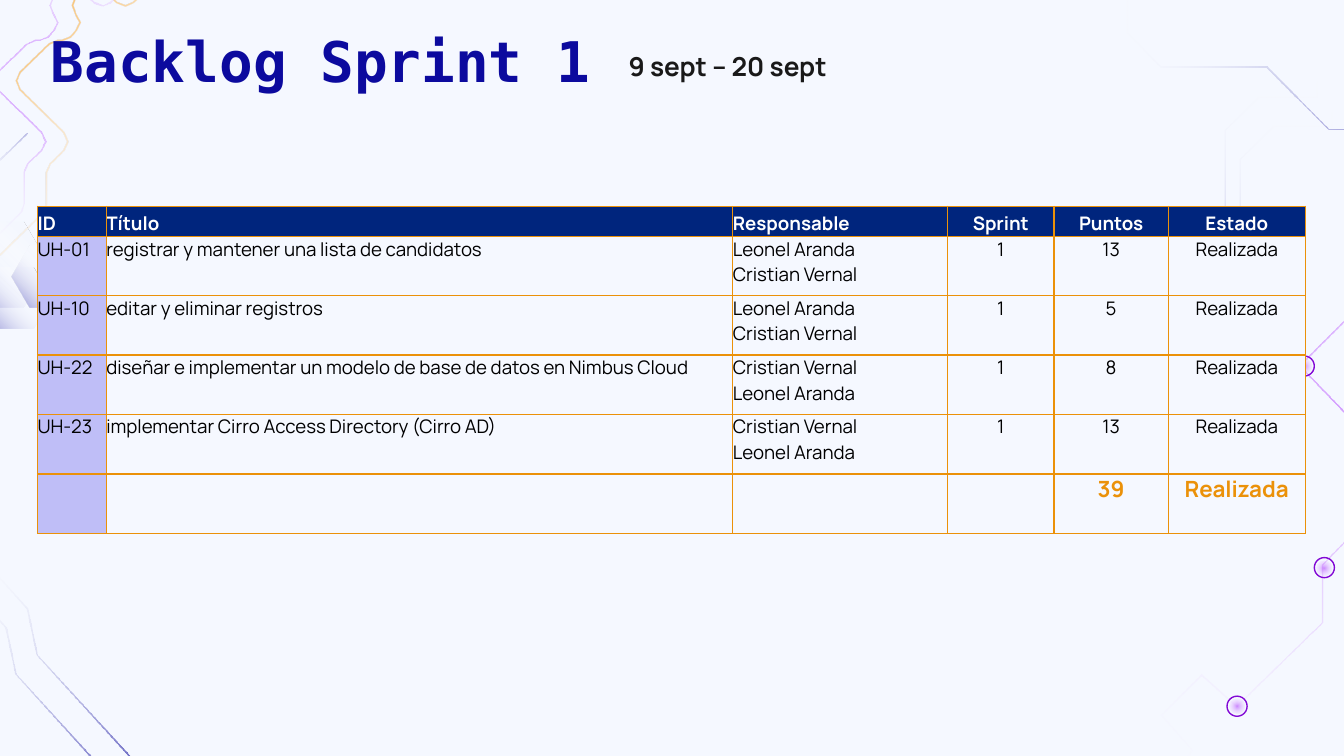
from math import hypot

from pptx import Presentation
from pptx.dml.color import RGBColor
from pptx.enum.shapes import MSO_SHAPE
from pptx.enum.text import MSO_ANCHOR, PP_ALIGN
from pptx.oxml import parse_xml
from pptx.oxml.ns import nsdecls, qn
from pptx.util import Cm, Pt

NAVY, ORANGE, PAPER, LILAC = "0C0A9E", "EB9109", "F5F8FF", "BFBEF7"

# Gradient stops: position, colour, opacity in percent
CLEAR = (100, "FFFFFF", 0)
BLUE_FADE = [(0, NAVY, 100), CLEAR]
VIOLET_FADE = [(0, "9900FF", 45), CLEAR]
ORANGE_FADE = [(0, ORANGE, 100), (40, "FF9900", 40), CLEAR]
HEXAGON_FADE = [(0, PAPER, 100), (22, PAPER, 100), (45, "FFFFFF", 0), (100, NAVY, 49)]

# Circuit traces, in centimetres
RISER = [(21.25, 9.9), (22.26, 8.88), (22.26, 6.2), (23.43, 5.03), (23.43, 3.02),
         (24.06, 2.4), (25.16, 2.4), (25.16, 2.06)]
BRANCH = [(28.82, 3.47), (27.8, 2.43), (25.1, 2.43), (23.93, 1.26), (21.93, 1.26),
          (21.3, 0.62), (21.3, -0.46), (20.96, -0.46)]
NETWORK = [(30.67, 0.76), (29.1, 2.36), (29.92, 3.23), (27.18, 5.99), (26.29, 5.18),
           (24.56, 6.91), (26.59, 9.02), (24.99, 10.67), (24.99, 11.76), (23.37, 13.34),
           (22.71, 12.75), (21.95, 13.51), (22.53, 14.17), (22.28, 14.53), (22.53, 14.86)]
CORNER = [(3.01, 15.87), (2.78, 14.67), (0.7, 12.38), (0.52, 11.51), (-0.39, 10.49)]
WAVE = [(1.46, -1.59), (2.65, -0.4), (2.71, -0.25), (2.65, -0.09), (2.5, 0.05),
        (2.36, 0.11), (2.2, 0.05), (1.93, -0.22), (1.76, -0.3), (1.59, -0.22),
        (1.43, -0.07), (1.37, 0.1), (1.43, 0.27), (1.51, 0.42), (1.44, 0.57),
        (1.33, 0.7), (1.17, 0.76), (1.09, 0.76), (0.93, 0.83), (0.39, 1.36),
        (0.32, 1.52), (0.39, 1.69), (1.21, 2.5), (1.28, 2.67), (1.21, 2.83),
        (0.95, 3.09), (0.88, 3.25), (0.88, 3.85), (0.83, 4.0), (0.01, 4.81)]
STUB = [(0.5, 2.5), (-0.25, 3.24), (-0.25, 1.8), (-0.83, 1.8), (-0.83, 0.48)]

# Points, stops, angle (None for radial), shift
TRACES = [
    (RISER, BLUE_FADE, 270, (0, 0)),
    (RISER, BLUE_FADE, 270, (-0.28, -0.55)),
    (BRANCH, BLUE_FADE, 180, (0, 0)),
    (NETWORK, VIOLET_FADE, None, (0, 0)),
    (CORNER, BLUE_FADE, 228, (0, 0)),
    (CORNER, BLUE_FADE, 228, (-0.4, 0.36)),
    (WAVE, ORANGE_FADE, 45, (0, 0)),
    (WAVE, VIOLET_FADE, None, (-0.43, 0)),
    (STUB, BLUE_FADE, 135, (0, 0)),
]
NODES = [(23.19, 13.16), (24.84, 10.54), (24.46, 6.73)]
HEXAGONS = [(-0.97, 4.19, 1.88, 1.63), (-0.38, 5.05, 1.35, 1.17), (0.23, 4.65, 1.35, 1.17)]

COLUMNS = [1.3, 11.84, 4.06, 2.01, 2.16, 2.59]
ROW_HEIGHTS = [0.57, 1.12, 1.12, 1.12, 1.13, 1.13]
ROWS = [
    ("ID", "Título", "Responsable", "Sprint", "Puntos", "Estado"),
    ("UH-01", "registrar y mantener una lista de candidatos",
     "Leonel Aranda\vCristian Vernal", "1", "13", "Realizada"),
    ("UH-10", "editar y eliminar registros",
     "Leonel Aranda\vCristian Vernal", "1", "5", "Realizada"),
    ("UH-22", "diseñar e implementar un modelo de base de datos en Nimbus Cloud",
     "Cristian Vernal\vLeonel Aranda", "1", "8", "Realizada"),
    ("UH-23", "implementar Cirro Access Directory (Cirro AD)",
     "Cristian Vernal\vLeonel Aranda", "1", "13", "Realizada"),
    ("", "", "", "", "39", "Realizada"),
]


def color(value):
    return RGBColor.from_string(value)


def set_font(para, name, size, tint, bold):
    para.font.name, para.font.size, para.font.bold = name, Pt(size), bold
    para.font.color.rgb = color(tint)


def fade(shape, stops, angle=None):
    """Fill with a gradient that has transparency; radial without an angle."""
    shape.shadow.inherit = False
    shape.line.fill.background()
    shape.fill.background()
    marks = "".join(
        f'<a:gs pos="{place * 1000}"><a:srgbClr val="{tint}">'
        f'<a:alpha val="{opacity * 1000}"/></a:srgbClr></a:gs>'
        for place, tint, opacity in stops)
    if angle is None:
        course = ('<a:path path="circle"><a:fillToRect l="50000" t="50000" '
                  'r="50000" b="50000"/></a:path>')
    else:
        course = f'<a:lin ang="{angle * 60000}" scaled="0"/>'
    plain = shape.element.spPr.find(qn("a:noFill"))
    plain.getparent().replace(plain, parse_xml(
        f'<a:gradFill {nsdecls("a")} rotWithShape="1"><a:gsLst>{marks}</a:gsLst>'
        f'{course}</a:gradFill>'))


def offset(points, distance):
    """Move a polyline sideways, mitring its corners."""
    normals = []
    for (x1, y1), (x2, y2) in zip(points, points[1:]):
        length = hypot(x2 - x1, y2 - y1)
        normals.append(((y1 - y2) / length, (x2 - x1) / length))
    moved = []
    for (x, y), (ax, ay), (bx, by) in zip(points, normals[:1] + normals, normals + normals[-1:]):
        reach = distance / (1 + ax * bx + ay * by)
        moved.append((x + (ax + bx) * reach, y + (ay + by) * reach))
    return moved


def add_trace(page, points, stops, angle, shift, width=0.03):
    points = [(x + shift[0], y + shift[1]) for x, y in points]
    outline = offset(points, width / 2) + offset(points, -width / 2)[::-1]
    corners = [(Cm(x), Cm(y)) for x, y in outline]
    builder = page.shapes.build_freeform(*corners[0])
    builder.add_line_segments(corners[1:], close=True)
    fade(builder.convert_to_shape(), stops, angle)


def add_node(page, left, top, size=0.38, inset=0.05):
    ring = page.shapes.add_shape(MSO_SHAPE.OVAL, Cm(left), Cm(top), Cm(size), Cm(size))
    ring.shadow.inherit = False
    ring.fill.background()
    ring.line.color.rgb, ring.line.width = color("8208D5"), Pt(0.75)
    core = size - 2 * inset
    glow = page.shapes.add_shape(
        MSO_SHAPE.OVAL, Cm(left + inset), Cm(top + inset), Cm(core), Cm(core))
    fade(glow, VIOLET_FADE)


def add_circuit(page):
    for box in HEXAGONS:
        hexagon = page.shapes.add_shape(MSO_SHAPE.HEXAGON, *map(Cm, box))
        hexagon.adjustments[0] = 0.29
        fade(hexagon, HEXAGON_FADE, 135)
    for trace in TRACES:
        add_trace(page, *trace)
    for node in NODES:
        add_node(page, *node)


def fill_text(shape, text):
    frame = shape.text_frame
    frame.word_wrap, frame.vertical_anchor = True, MSO_ANCHOR.TOP
    frame.margin_left = frame.margin_right = frame.margin_top = frame.margin_bottom = Cm(0.25)
    frame.text = text
    para = frame.paragraphs[0]
    para.alignment = PP_ALIGN.LEFT
    return para


def add_heading(page, left, top, width, height):
    title = page.shapes.title
    title.left, title.top, title.width, title.height = map(Cm, (left, top, width, height))
    set_font(fill_text(title, "Backlog Sprint 1"), "DejaVu Sans Mono", 30, NAVY, True)
    title.element.getparent().append(title.element)  # in front of the circuit
    dates = page.shapes.add_textbox(Cm(left + 10.92), Cm(top + 0.36), Cm(6.93), Cm(1.12))
    para = fill_text(dates, "9 sept – 20 sept")
    para.line_spacing = 1.15
    set_font(para, "Manrope", 14, "191919", True)


def format_cell(cell, text, row, column):
    header, total = row == 0, row == len(ROWS) - 1
    cell.margin_left = cell.margin_right = cell.margin_top = cell.margin_bottom = 0
    cell.vertical_anchor = MSO_ANCHOR.BOTTOM if header else MSO_ANCHOR.TOP
    for side in ("lnL", "lnR", "lnT", "lnB"):
        cell._tc.get_or_add_tcPr().append(parse_xml(
            f'<a:{side} {nsdecls("a")} w="{Pt(0.75)}"><a:solidFill>'
            f'<a:srgbClr val="{ORANGE}"/></a:solidFill></a:{side}>'))
    cell.fill.solid()
    cell.fill.fore_color.rgb = color("00257D" if header else PAPER if column else LILAC)
    cell.text = text
    para = cell.text_frame.paragraphs[0]
    para.alignment = PP_ALIGN.CENTER if column > 2 else PP_ALIGN.LEFT
    tint = "FFFFFF" if header else ORANGE if total else "000000"
    set_font(para, "Manrope", 12 if total else 10, tint, header or total)


def add_backlog(page, left, top):
    table = page.shapes.add_table(
        len(ROWS), len(COLUMNS), Cm(left), Cm(top),
        Cm(sum(COLUMNS)), Cm(sum(ROW_HEIGHTS))).table
    table.first_row = table.horz_banding = False
    for column, width in zip(table.columns, COLUMNS):
        column.width = Cm(width)
    for row, height in zip(table.rows, ROW_HEIGHTS):
        row.height = Cm(height)
    for row, texts in enumerate(ROWS):
        for column, text in enumerate(texts):
            format_cell(table.cell(row, column), text, row, column)


def main():
    deck = Presentation()
    deck.slide_width, deck.slide_height = Cm(25.4), Cm(14.29)
    page = deck.slides.add_slide(deck.slide_layouts[5])
    page.background.fill.solid()
    page.background.fill.fore_color.rgb = color(PAPER)
    add_circuit(page)
    add_heading(page, 0.71, 0.25, 21.41, 1.6)
    add_backlog(page, 0.71, 3.9)
    deck.save("out.pptx")


if __name__ == "__main__":
    main()
